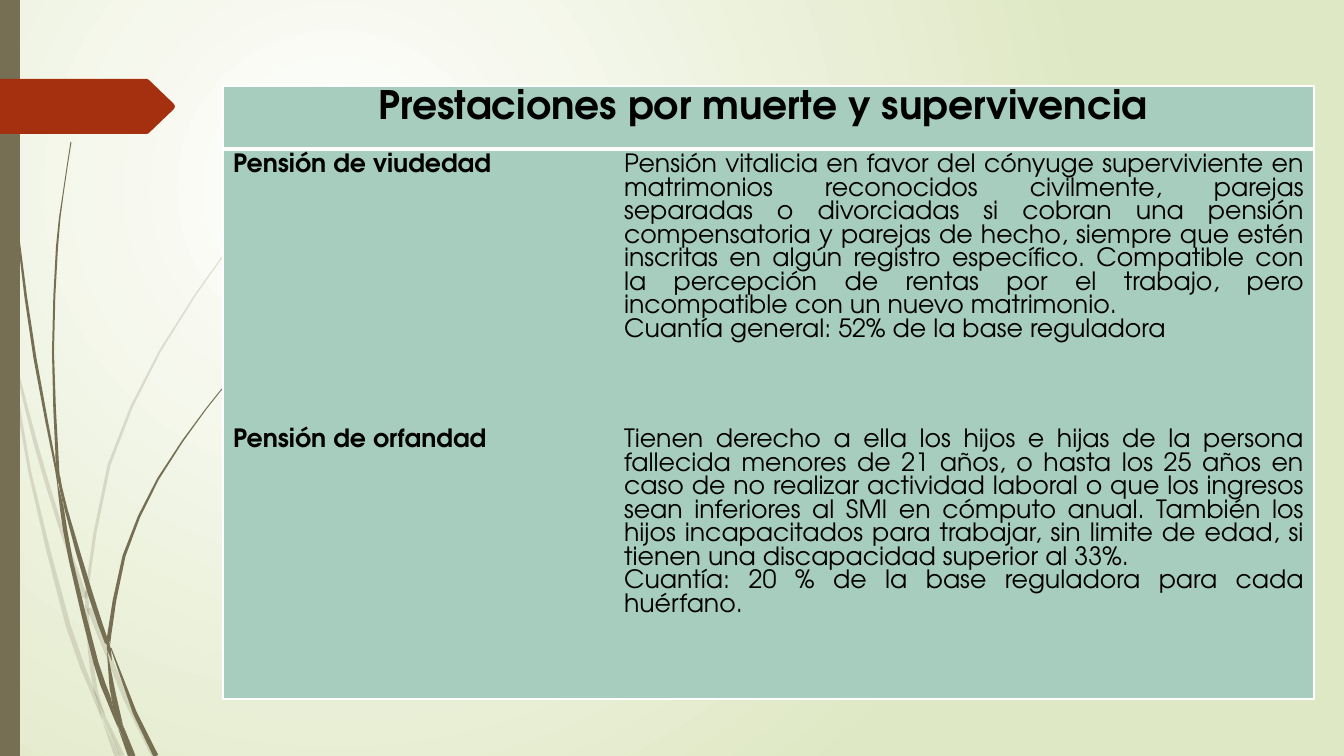
import math

from lxml import etree
from pptx import Presentation
from pptx.dml.color import RGBColor
from pptx.enum.shapes import MSO_SHAPE
from pptx.enum.text import PP_ALIGN
from pptx.oxml.ns import qn
from pptx.util import Pt

PX = 914400 / 100.8
RECTANGLE = MSO_SHAPE.RECTANGLE
LEFT, CENTER, JUSTIFY = PP_ALIGN.LEFT, PP_ALIGN.CENTER, PP_ALIGN.JUSTIFY
FONT = "TeX Gyre Adventor"
NO_STYLE = "{2D5ABB26-0587-4C30-8999-92F81FD0307C}"
COLORS = {"white": "FFFFFF", "lime": "DFE8C4", "stem": "766F54",
          "arrow": "A53010", "cell": "A6CDBD", "text": "000000"}

PALE_STEMS = [
    [(0, 293, 4), (7, 325, 4), (11, 353, 0)],
    [(14, 348, 0), (17, 369, 2), (36, 445, 4), (60, 525, 4), (85, 597, 5)],
    [(89, 608, 5), (126, 699, 5), (154, 756, 5)],
    [(106, 717, 0), (122, 756, 5)],
    [(11, 353, 0), (15, 380, 3), (30, 473, 3), (68, 625, 5), (94, 695, 4), (102, 720, 0)],
    [(85, 604, 0), (87, 613, 3), (90, 651, 4), (96, 692, 4), (106, 717, 0)],
    [(87, 595, 3), (87, 589, 3), (109, 465, 3), (160, 351, 2), (230, 246, 1),
     (270, 199, 1), (292, 176, 1), (314, 154, 1)],
    [(102, 720, 0), (117, 756, 5)],
    [(86, 591, 1), (87, 602, 4), (89, 615, 1)],
    [(94, 689, 0), (102, 713, 4), (120, 756, 0)],
]
DARK_STEMS = [
    [(4, 0, 1), (5, 48, 1), (8, 110, 1), (18, 234, 2), (35, 358, 3), (56, 469, 2), (57, 485, 0)],
    [(60, 476, 0), (66, 509, 3), (91, 596, 5), (107, 643, 4)],
    [(111, 648, 1), (135, 713, 4), (156, 756, 5)],
    [(57, 481, 0), (62, 509, 4), (71, 561, 4), (96, 663, 5), (108, 697, 5), (118, 728, 0)],
    [(59, 474, 1), (57, 455, 3), (53, 352, 2), (57, 247, 2), (63, 195, 1), (71, 142, 1)],
    [(123, 725, 0), (134, 756, 3)],
    [(55, 453, 0), (59, 479, 3), (64, 509, 0)],
    [(109, 642, 4), (109, 637, 4), (124, 556, 3), (158, 479, 2), (206, 409, 1),
     (233, 377, 1), (262, 347, 1)],
    [(118, 728, 0), (130, 756, 4)],
    [(107, 650, 0), (111, 680, 4), (114, 697, 5), (123, 725, 0)],
    [(107, 636, 0), (109, 649, 4), (112, 661, 0)],
    [(111, 697, 0), (116, 712, 4), (120, 725, 5), (133, 756, 3)],
]
TITLE = "Prestaciones por muerte y supervivencia "
BENEFITS = [
    ("Pensión de viudedad", [
        "Pensión vitalicia en favor del cónyuge superviviente en matrimonios reconocidos "
        "civilmente, parejas separadas o divorciadas si cobran una pensión compensatoria y "
        "parejas de hecho, siempre que estén inscritas en algún registro específico. "
        "Compatible con la percepción de rentas por el trabajo, pero incompatible con un "
        "nuevo matrimonio.",
        "Cuantía general: 52% de la base reguladora"]),
    ("Pensión de orfandad", [
        "Tienen derecho a ella los hijos e hijas de la persona fallecida menores de 21 años, "
        "o hasta los 25 años en caso de no realizar actividad laboral o que los ingresos sean "
        "inferiores al SMI en cómputo anual. También los hijos incapacitados para trabajar, "
        "sin limite de edad, si tienen una discapacidad superior al 33%.",
        "Cuantía: 20 % de la base reguladora para cada huérfano."]),
]


def px(length):
    """Turn px into EMU."""
    return round(length * PX)


def color(name):
    """Look up a colour by name."""
    return RGBColor.from_string(COLORS[name])


def paint(shape, name, opacity=100):
    """Fill a shape flatly, without line or shadow."""
    shape.shadow.inherit = False
    shape.fill.solid()
    shape.fill.fore_color.rgb = color(name)
    shape.line.fill.background()
    if opacity < 100:
        tone = next(shape._element.spPr.iter(qn("a:srgbClr")))
        etree.SubElement(tone, qn("a:alpha"), val=str(opacity * 1000))


def add_outline(shapes, points):
    """Draw a closed outline through points in px."""
    corners = [(px(x), px(y)) for x, y in points]
    builder = shapes.build_freeform(*corners[0], scale=1.0)
    builder.add_line_segments(corners[1:], close=True)
    return builder.convert_to_shape()


def smooth_line(knots):
    """Add the Catmull-Rom midpoint of each span between long stems' knots."""
    if len(knots) < 4:
        return knots
    padded = [knots[0], *knots, knots[-1]]
    line = []
    for a, b, c, d in zip(padded, padded[1:], padded[2:], padded[3:]):
        middle = tuple((9 * (q + r) - p - s) / 16 for p, q, r, s in zip(a, b, c, d))
        line += [b, middle]
    return line + [knots[-1]]


def stem_outline(knots):
    """Give a stem its two edges, half the thickness off the middle."""
    line = smooth_line(knots)
    left, right = [], []
    for i, (x, y, thickness) in enumerate(line):
        before, after = line[max(i - 1, 0)], line[min(i + 1, len(line) - 1)]
        dx, dy = after[0] - before[0], after[1] - before[1]
        half = max(thickness, 0) / 2 / math.hypot(dx, dy)
        left.append((x - dy * half, y + dx * half))
        if thickness > 0:
            right.append((x + dy * half, y - dx * half))
    return left + right[::-1]


def add_background(page):
    """Lay a circular gradient behind the page."""
    fill = page.background.fill
    fill.gradient()
    for stop, name in zip(fill.gradient_stops, ("white", "lime")):
        stop.color.rgb = color(name)
    linear = next(page.element.iter(qn("a:lin")))
    circle = etree.Element(qn("a:path"), path="circle")
    etree.SubElement(circle, qn("a:fillToRect"), l="50000", t="50000", r="100000", b="100000")
    linear.getparent().replace(linear, circle)


def add_stems(page, stems, opacity):
    """Draw a group of grass stems."""
    group = page.shapes.add_group_shape()
    for knots in stems:
        paint(add_outline(group.shapes, stem_outline(knots)), "stem", opacity)


def add_side_bar(page, left, top, width, height):
    """Draw the bar down the left edge."""
    bar = page.shapes.add_shape(RECTANGLE, px(left), px(top), px(width), px(height))
    paint(bar, "stem")


def add_arrow(page, left, top, width, height):
    """Draw the pointed tag with softened corners."""
    upper = [(0, 0), (width - 28, 0), (width - 26, 1), (width - 1, height // 2 - 2)]
    lower = [(x, height - y) for x, y in reversed(upper)]
    points = upper + [(width, height / 2)] + lower
    paint(add_outline(page.shapes, [(left + x, top + y) for x, y in points]), "arrow")


def style_cell(cell, borders):
    """Set borders as side-to-points, then the fill."""
    properties = cell._tc.get_or_add_tcPr()
    for side in "LRTB":
        if side in borders:
            line = etree.SubElement(properties, qn("a:ln" + side), w=str(Pt(borders[side])))
            solid = etree.SubElement(line, qn("a:solidFill"))
            etree.SubElement(solid, qn("a:srgbClr"), val=COLORS["white"])
    cell.fill.solid()
    cell.fill.fore_color.rgb = color("cell")


def write_cell(cell, texts, size, bold, align):
    """Write one paragraph per text."""
    frame = cell.text_frame
    for i, text in enumerate(texts):
        para = frame.add_paragraph() if i else frame.paragraphs[0]
        para.alignment = align
        span = para.add_run()
        span.text = text
        span.font.name, span.font.size, span.font.bold = FONT, Pt(size), bold
        span.font.color.rgb = color("text")


def add_benefits_table(page, left, top, width, height):
    """Build the benefits table under a merged heading."""
    head, label = 63, 391
    body = (height - head) // len(BENEFITS)
    box = page.shapes.add_table(len(BENEFITS) + 1, 2, px(left), px(top), px(width), px(height))
    table = box.table
    table.first_row = table.horz_banding = False
    next(table._tbl.iter(qn("a:tableStyleId"))).text = NO_STYLE
    for column, size in zip(table.columns, (label, width - label)):
        column.width = px(size)
    for i, row in enumerate(table.rows):
        row.height = px(body if i else head)
        for cell, side in zip(row.cells, "LR"):
            borders = {side: 1}
            if i == 0:
                borders = {"L": 1, "R": 1, "T": 1, "B": 3}
            elif i == len(BENEFITS):
                borders["B"] = 1
            style_cell(cell, borders)
    heading = table.cell(0, 0)
    heading.merge(table.cell(0, 1))
    write_cell(heading, [TITLE], 28, True, CENTER)
    for i, (name, details) in enumerate(BENEFITS, 1):
        write_cell(table.cell(i, 0), [name], 18, True, LEFT)
        write_cell(table.cell(i, 1), details, 18, False, JUSTIFY)


def main():
    """Build the deck and save it."""
    deck = Presentation()
    deck.slide_width, deck.slide_height = px(1344), px(756)
    page = deck.slides.add_slide(deck.slide_layouts[6])
    add_background(page)
    add_stems(page, PALE_STEMS, 20)
    add_stems(page, DARK_STEMS, 100)
    add_side_bar(page, 0, 0, 20, 756)
    add_arrow(page, 0, 79, 175, 55)
    add_benefits_table(page, 223, 86, 1091, 613)
    deck.save("out.pptx")


if __name__ == "__main__":
    main()
